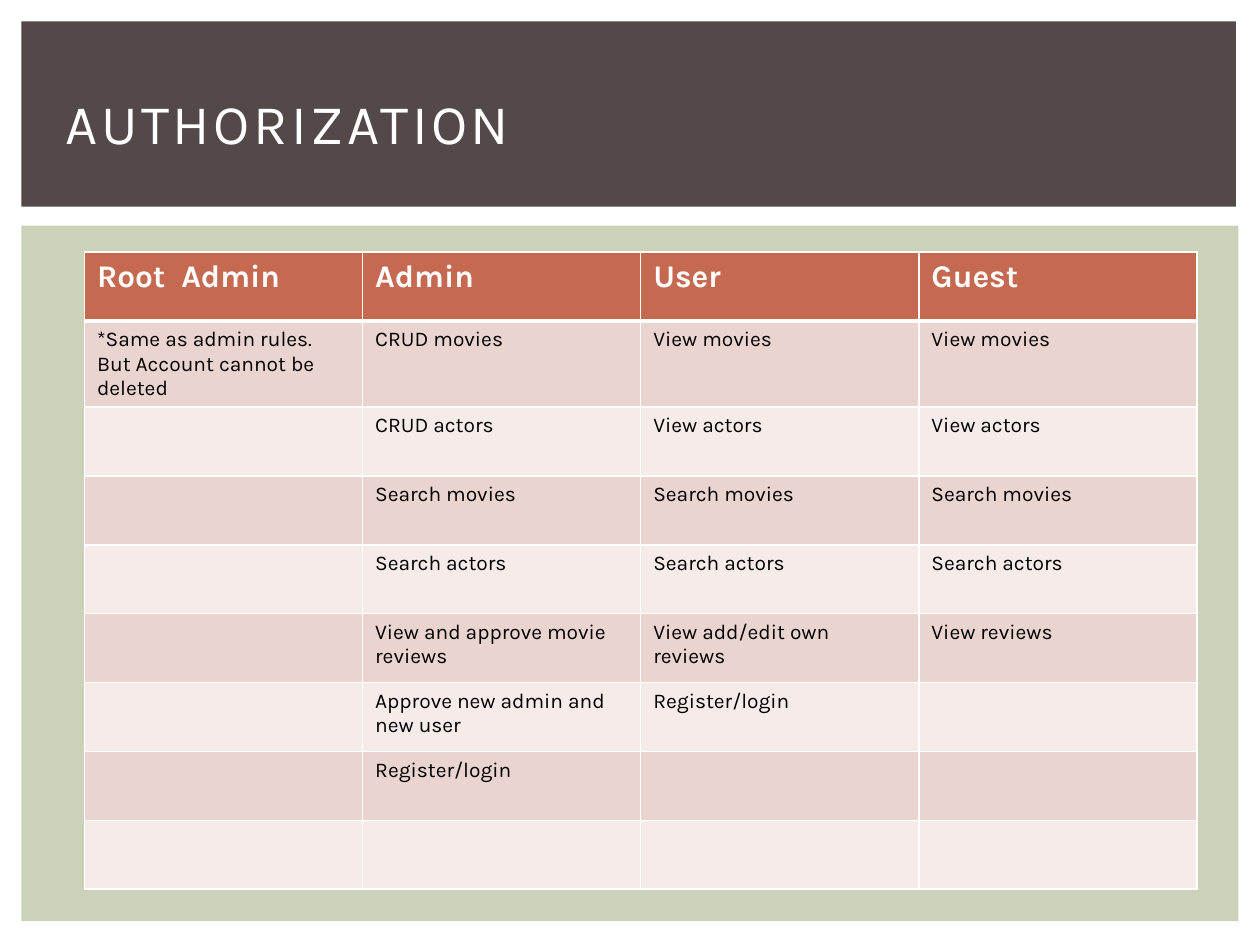
from dataclasses import dataclass

from lxml.etree import SubElement
from pptx import Presentation
from pptx.dml.color import RGBColor
from pptx.enum.shapes import MSO_SHAPE
from pptx.enum.text import MSO_ANCHOR, PP_ALIGN
from pptx.oxml.ns import qn
from pptx.util import Inches, Pt


@dataclass(frozen=True)
class Theme:
    font: str = "Karla"
    white: str = "FFFFFF"
    black: str = "000000"
    banner: str = "534949"
    panel: str = "CCD1B9"
    header: str = "C66951"
    bands: tuple = ("EAD4D0", "F5EBE9")
    title_size: int = 32
    header_size: int = 18
    body_size: int = 12


THEME = Theme()

ROLE_TABLE = [
    ["Root  Admin", "Admin", "User", "Guest"],
    ["*Same as admin rules. But Account cannot be deleted",
     "CRUD movies", "View movies", "View movies"],
    ["", "CRUD actors", "View actors", "View actors"],
    ["", "Search movies", "Search movies", "Search movies"],
    ["", "Search actors", "Search actors", "Search actors"],
    ["", "View and approve movie reviews", "View add/edit own reviews", "View reviews"],
    ["", "Approve new admin and new user", "Register/login", ""],
    ["", "Register/login", "", ""],
    ["", "", "", ""],
]


def format_font(font, size, color, bold=False):
    font.name = THEME.font
    font.size = Pt(size)
    font.bold = bold
    font.color.rgb = RGBColor.from_string(color)


def add_panel(slide, left, top, width, height, color):
    shape = slide.shapes.add_shape(
        MSO_SHAPE.RECTANGLE, Inches(left), Inches(top), Inches(width), Inches(height))
    shape.shadow.inherit = False
    shape.fill.solid()
    shape.fill.fore_color.rgb = RGBColor.from_string(color)
    shape.line.fill.background()


def place_title(slide, text):
    title = slide.shapes.title
    title.left, title.top = Inches(0.42), Inches(0.39)
    title.width, title.height = Inches(9.17), Inches(1.15)
    # Bring the title in front of the banner
    slide.shapes._spTree.append(title._element)
    title.text_frame.text = text
    title.text_frame.vertical_anchor = MSO_ANCHOR.MIDDLE
    paragraph = title.text_frame.paragraphs[0]
    paragraph.alignment = PP_ALIGN.LEFT
    run = paragraph.runs[0]
    format_font(run.font, THEME.title_size, THEME.white)
    run._r.get_or_add_rPr().set("spc", "200")


def set_borders(cell, top, bottom):
    properties = cell._tc.get_or_add_tcPr()
    for side, width in (("L", 1), ("R", 1), ("T", top), ("B", bottom)):
        line = SubElement(properties, qn(f"a:ln{side}"), w=str(Pt(width)))
        fill = SubElement(line, qn("a:solidFill"))
        SubElement(fill, qn("a:srgbClr"), val=THEME.white)


def format_cell(cell, text, row_index):
    is_header = row_index == 0
    set_borders(cell, top=3 if row_index == 1 else 1, bottom=3 if is_header else 1)
    cell.fill.solid()
    color = THEME.header if is_header else THEME.bands[(row_index - 1) % 2]
    cell.fill.fore_color.rgb = RGBColor.from_string(color)
    cell.text_frame.text = text
    for run in cell.text_frame.paragraphs[0].runs:
        if is_header:
            format_font(run.font, THEME.header_size, THEME.white, bold=True)
        else:
            format_font(run.font, THEME.body_size, THEME.black)


def add_role_table(slide, rows):
    frame = slide.shapes.add_table(
        len(rows), len(rows[0]), Inches(0.67), Inches(2), Inches(8.83), Inches(4.92))
    table = frame.table
    for row_index, texts in enumerate(rows):
        for column_index, text in enumerate(texts):
            format_cell(table.cell(row_index, column_index), text, row_index)


def main():
    presentation = Presentation()
    presentation.slide_width, presentation.slide_height = Inches(10), Inches(7.5)
    slide = presentation.slides.add_slide(presentation.slide_layouts[5])

    # Background panels
    add_panel(slide, 0.17, 1.79, 9.66, 5.52, THEME.panel)
    add_panel(slide, 0.17, 0.17, 9.64, 1.47, THEME.banner)

    # Content
    place_title(slide, "AUTHORIZATION")
    add_role_table(slide, ROLE_TABLE)

    presentation.save("out.pptx")


main()
